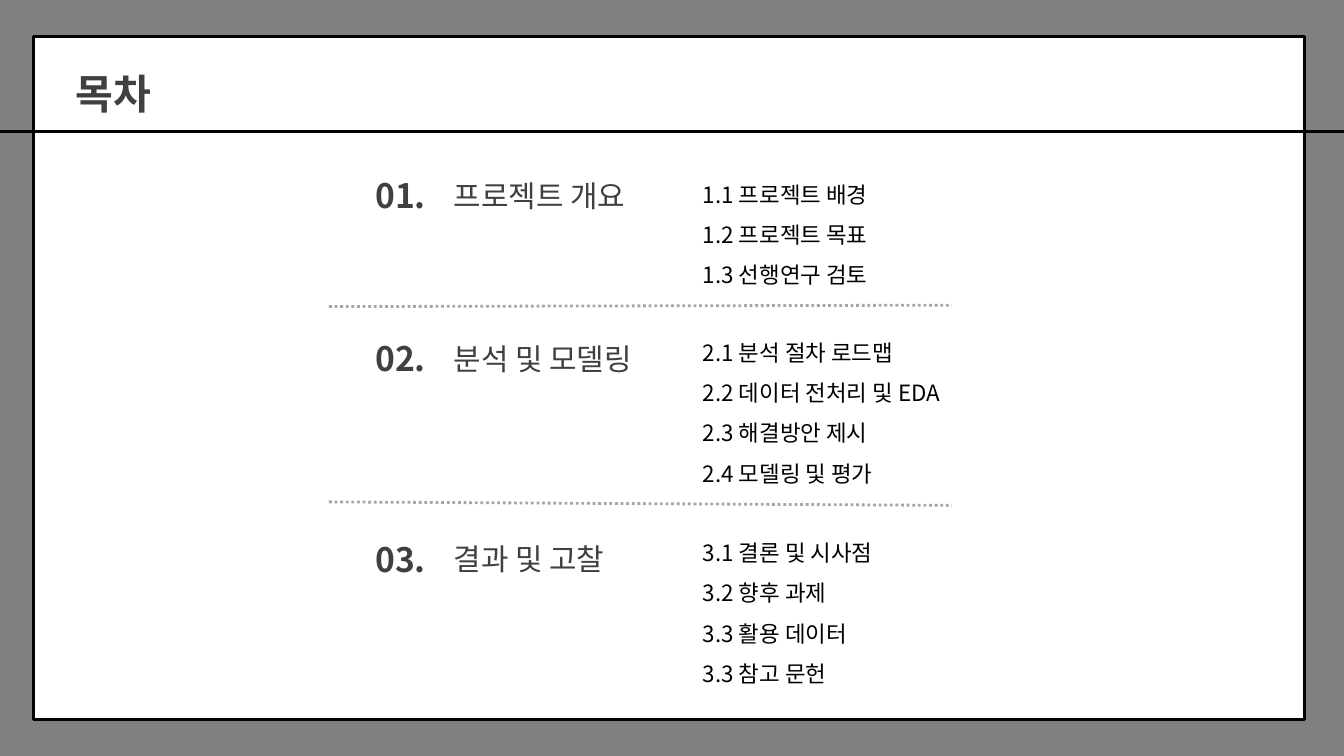
import pptx
import pptx.util
import pptx.dml.color
import pptx.enum.dml
import pptx.enum.shapes
import pptx.oxml.ns
from lxml import etree

PX = 9525
FONT = "Noto Sans CJK KR"
BLACK = pptx.dml.color.RGBColor(0x00, 0x00, 0x00)
WHITE = pptx.dml.color.RGBColor(0xFF, 0xFF, 0xFF)
BACKDROP = pptx.dml.color.RGBColor(0x80, 0x80, 0x80)
HEADING = pptx.dml.color.RGBColor(0x40, 0x40, 0x40)
DIVIDER = pptx.dml.color.RGBColor(0xA6, 0xA6, 0xA6)

SECTIONS = [
    ("01.", "프로젝트 개요", 212, 239,
     ["1.1 프로젝트 배경", "1.2 프로젝트 목표", "1.3 선행연구 검토"]),
    ("02.", "분석 및 모델링", 445, 465,
     ["2.1 분석 절차 로드맵", "2.2 데이터 전처리 및 EDA", "2.3 해결방안 제시", "2.4 모델링 및 평가"]),
    ("03.", "결과 및 고찰", 731, 751,
     ["3.1 결론 및 시사점", "3.2 향후 과제", "3.3 활용 데이터", "3.3 참고 문헌"]),
]


def px(*lengths):
    return [pptx.util.Emu(length * PX) for length in lengths]


def add_text(page, lines, place, size, color=HEADING, bold=False, spacing=1.5):
    box = page.shapes.add_textbox(*px(*place))
    frame = box.text_frame
    frame.word_wrap = True
    frame.margin_left = frame.margin_right = frame.margin_top = frame.margin_bottom = 0
    for index, line in enumerate(lines):
        para = frame.paragraphs[0] if index == 0 else frame.add_paragraph()
        para.line_spacing = spacing
        span = para.add_run()
        span.text = line
        span.font.size = pptx.util.Pt(size)
        span.font.bold = bold
        span.font.color.rgb = color
        span.font.name = FONT
        east_asian = etree.SubElement(span.font._element, pptx.oxml.ns.qn("a:ea"))
        east_asian.set("typeface", FONT)


def add_line(page, start, end, color, dash=None):
    line = page.shapes.add_connector(
        pptx.enum.shapes.MSO_CONNECTOR.STRAIGHT, *px(*start, *end))
    line.line.color.rgb = color
    line.line.width = pptx.util.Pt(3)
    if dash is not None:
        line.line.dash_style = dash
    etree.SubElement(line._element.spPr, pptx.oxml.ns.qn("a:effectLst"))


def add_panel(page, place):
    panel = page.shapes.add_shape(
        pptx.enum.shapes.MSO_SHAPE.RECTANGLE, *px(*place))
    panel.shadow.inherit = False
    panel.fill.solid()
    panel.fill.fore_color.rgb = WHITE
    panel.line.color.rgb = BLACK
    panel.line.width = pptx.util.Pt(3)


def add_section(page, number, heading, top, items_top, items):
    add_text(page, [number], (536, top, 119, 89), 36, bold=True,
             spacing=pptx.util.Pt(72))
    add_text(page, [heading], (648, top + 16, 320, 71), 32)
    add_text(page, items, (1004, items_top, 748, 57 * len(items)), 24, color=BLACK)


def main():
    deck = pptx.Presentation()
    deck.slide_width, deck.slide_height = px(1920, 1080)
    page = deck.slides.add_slide(deck.slide_layouts[6])
    page.background.fill.solid()
    page.background.fill.fore_color.rgb = BACKDROP

    add_panel(page, (48, 52, 1816, 976))
    add_text(page, ["목차"], (108, 68, 163, 96), 44, bold=True,
             spacing=pptx.util.Pt(75.5))
    add_line(page, (0, 188), (1920, 188), BLACK)
    for section in SECTIONS:
        add_section(page, *section)
    for left_y, right_y in [(438, 436), (717, 722)]:
        add_line(page, (470, left_y), (1360, right_y), DIVIDER,
                 pptx.enum.dml.MSO_LINE.ROUND_DOT)
    deck.save("out.pptx")


if __name__ == "__main__":
    main()
